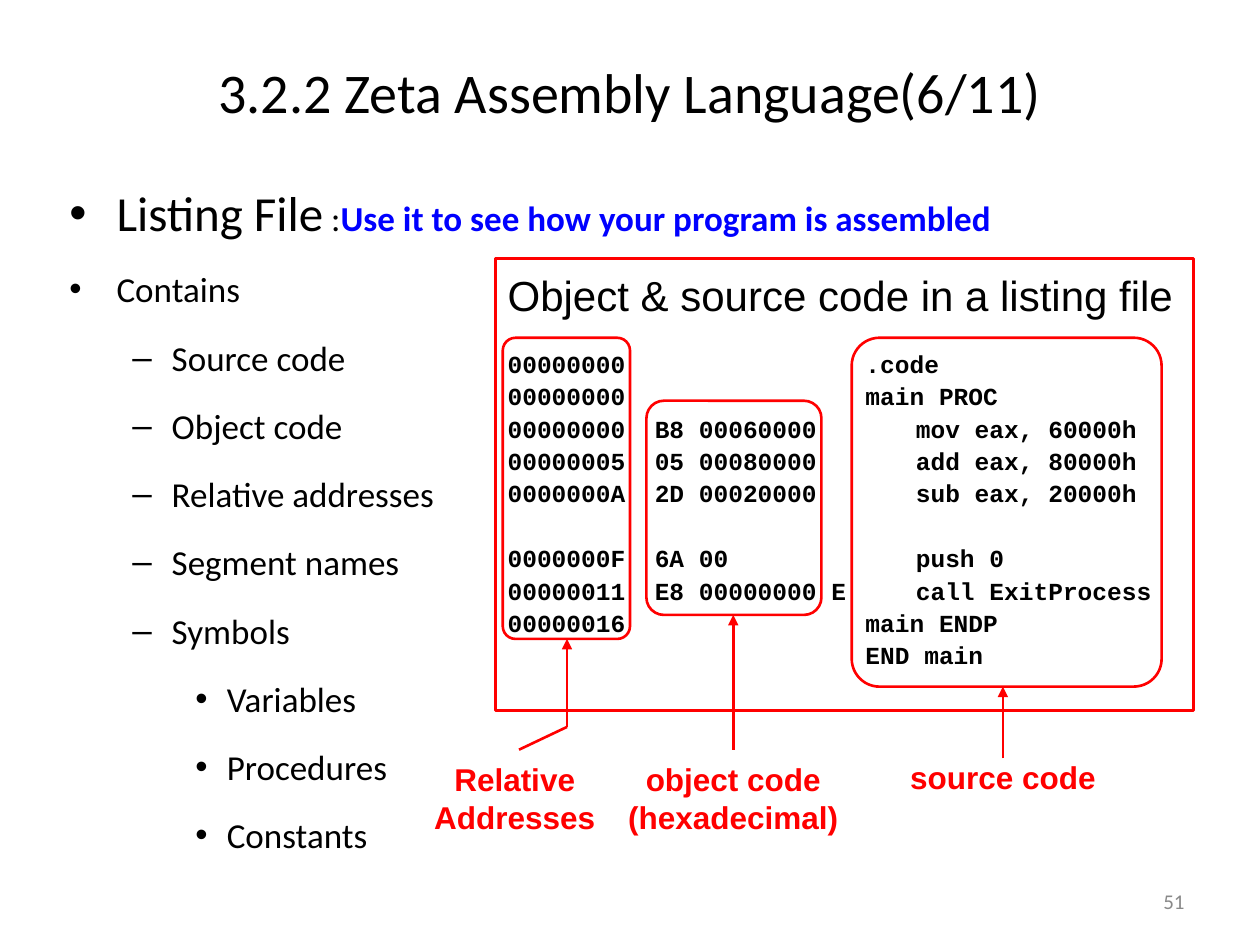
import pptx
import pptx.dml.color
import pptx.enum.shapes
import pptx.enum.text
import pptx.oxml.ns
import pptx.util
from lxml import etree

Pt = pptx.util.Pt
qn = pptx.oxml.ns.qn
SHAPE = pptx.enum.shapes.MSO_SHAPE
ALIGN = pptx.enum.text.PP_ALIGN
ANCHOR = pptx.enum.text.MSO_ANCHOR

BLACK, RED, BLUE, GREY = "000000", "FF0000", "0000FF", "898989"
TITLE = "3.2.2 Zeta Assembly Language(6/11)"
PAGE = "51"
LEAD = [
    ("Listing File", 28, BLACK, False),
    (" :", 20, BLACK, False),
    ("Use it to see how your program is assembled", 20, BLUE, True),
]
CONTENTS = [
    (0, "Contains"),
    (1, "Source code"),
    (1, "Object code"),
    (1, "Relative addresses"),
    (1, "Segment names"),
    (1, "Symbols"),
    (2, "Variables"),
    (2, "Procedures"),
    (2, "Constants"),
]
INDENTS = [(27, -27), (58.5, -22.5), (90, -18)]
LISTING_TITLE = "Object & source code in a listing file"
LISTING = [
    "00000000\t.code",
    "00000000\tmain PROC",
    "00000000  B8 00060000\t\tmov eax, 60000h",
    "00000005  05 00080000\t\tadd eax, 80000h",
    "0000000A  2D 00020000\t\tsub eax, 20000h",
    "0000000F  6A 00\t\tpush 0",
    "00000011  E8 00000000 E\t\tcall ExitProcess",
    "00000016\tmain ENDP",
    "\tEND main",
]
SECOND_BLOCK = 5
LISTING_TABS = [204.5, 233.3]
CALLOUTS = [
    dict(label=["object code", "(hexadecimal)"], box=(369.4, 229, 100, 122.4),
         corner=0.1, arrow_x=419, arrow_y=428.4, label_width=145.4),
    dict(label=["source code"], box=(486.7, 193, 177.1, 199.4),
         corner=0.09, arrow_x=573.1, arrow_y=433.4, label_width=145.4),
    dict(label=["Relative", "Addresses"], box=(287.3, 193, 72.7, 172.1),
         corner=0.1, arrow_x=324, arrow_y=415.4, label_width=104.4, label_x=294.1),
]
LABEL_TOP, LABEL_LINE = 428.4, 23


def rgb(color):
    return pptx.dml.color.RGBColor.from_string(color)


def style(font, name, size, color, bold=False):
    font.name, font.size, font.bold = name, Pt(size), bold
    font.color.rgb = rgb(color)


def place(shape, left, top, width, height):
    shape.left, shape.top = Pt(left), Pt(top)
    shape.width, shape.height = Pt(width), Pt(height)


def paragraphs(frame, lines):
    for number, line in enumerate(lines):
        paragraph = frame.add_paragraph() if number else frame.paragraphs[0]
        paragraph.text = line
        yield paragraph


def outline(slide, preset, bounds):
    shape = slide.shapes.add_shape(preset, *map(Pt, bounds))
    shape.shadow.inherit = False
    shape.fill.background()
    shape.line.color.rgb = rgb(RED)
    shape.line.width = Pt(1.5)
    return shape


def connect(slide, start, end, arrow=True):
    line = slide.shapes.add_connector(
        pptx.enum.shapes.MSO_CONNECTOR.STRAIGHT, *map(Pt, start + end))
    line.line.color.rgb = rgb(RED)
    line.line.width = Pt(1.5)
    if arrow:
        etree.SubElement(line.line._get_or_add_ln(), qn("a:tailEnd"), type="triangle")
    etree.SubElement(line._element.spPr, qn("a:effectLst"))


def text_box(slide, bounds, lines, align, font):
    frame = slide.shapes.add_textbox(*map(Pt, bounds)).text_frame
    frame.word_wrap = True
    frame.vertical_anchor = ANCHOR.MIDDLE
    for paragraph in paragraphs(frame, lines):
        paragraph.alignment = align
        style(paragraph.font, *font)
    return frame


def add_title(slide):
    title = slide.shapes.title
    place(title, 0, 21.6, 720, 61.2)
    title.text_frame.text = TITLE
    title.text_frame.vertical_anchor = ANCHOR.MIDDLE
    title.text_frame.paragraphs[0].alignment = ALIGN.CENTER
    style(title.text_frame.paragraphs[0].font, "Calibri", 32, BLACK)


def add_contents(slide):
    body = slide.placeholders[1]
    place(body, 39.6, 100.8, 640.8, 380)
    frame = body.text_frame
    frame.margin_left = 0
    frame.auto_size = pptx.enum.text.MSO_AUTO_SIZE.NONE
    lead = frame.paragraphs[0]
    for text, size, color, bold in LEAD:
        run = lead.add_run()
        run.text = text
        style(run.font, "Calibri", size, color, bold)
    lead.space_before = 0
    indent(lead, 0)
    for level, text in CONTENTS:
        paragraph = frame.add_paragraph()
        paragraph.text = text
        paragraph.space_before = Pt(15)
        indent(paragraph, level)
        style(paragraph.font, "Calibri", 20, BLACK)


def indent(paragraph, level):
    paragraph.level = level
    left, first = INDENTS[level]
    properties = paragraph._p.get_or_add_pPr()
    properties.set("marL", str(Pt(left)))
    properties.set("indent", str(Pt(first)))


def add_listing(slide):
    frame = outline(slide, SHAPE.RECTANGLE, (283, 147.6, 398.9, 258.5)).text_frame
    frame.word_wrap = True
    frame.vertical_anchor = ANCHOR.TOP
    for number, paragraph in enumerate(paragraphs(frame, [LISTING_TITLE] + LISTING)):
        paragraph.alignment = ALIGN.LEFT
        tabs = etree.SubElement(paragraph._p.get_or_add_pPr(), qn("a:tabLst"))
        for stop in LISTING_TABS:
            etree.SubElement(tabs, qn("a:tab"), pos=str(Pt(stop)), algn="l")
        paragraph.line_spacing = 1.1
        if number == 0:
            paragraph.space_after = Pt(15)
            style(paragraph.font, "Arial", 24, BLACK)
        else:
            style(paragraph.font, "Courier New", 14, BLACK, True)
        if number == SECOND_BLOCK + 1:
            paragraph.space_before = Pt(18.5)


def add_callout(slide, callout):
    left, top, width, height = callout["box"]
    box = outline(slide, SHAPE.ROUNDED_RECTANGLE, callout["box"])
    box.adjustments[0] = callout["corner"]
    x = callout["arrow_x"]
    connect(slide, (x, callout["arrow_y"]), (x, top + height))
    label, label_width = callout["label"], callout["label_width"]
    center = callout.get("label_x", x)
    bounds = (center - label_width / 2, LABEL_TOP, label_width,
              LABEL_LINE * len(label) + 8.7)
    frame = text_box(slide, bounds, label, ALIGN.CENTER, ("Arial", 18, RED, True))
    frame.margin_left = frame.margin_right = 0
    if center != x:
        connect(slide, (x, callout["arrow_y"]), (296.6, LABEL_TOP), arrow=False)


def main():
    deck = pptx.Presentation()
    deck.slide_width, deck.slide_height = Pt(720), Pt(540)
    slide = deck.slides.add_slide(deck.slide_layouts[1])
    add_title(slide)
    add_contents(slide)
    add_listing(slide)
    for callout in CALLOUTS:
        add_callout(slide, callout)
    text_box(slide, (516.2, 500.4, 167.8, 28.8), [PAGE], ALIGN.RIGHT,
             ("Calibri", 12, GREY))
    deck.save("out.pptx")


if __name__ == "__main__":
    main()
